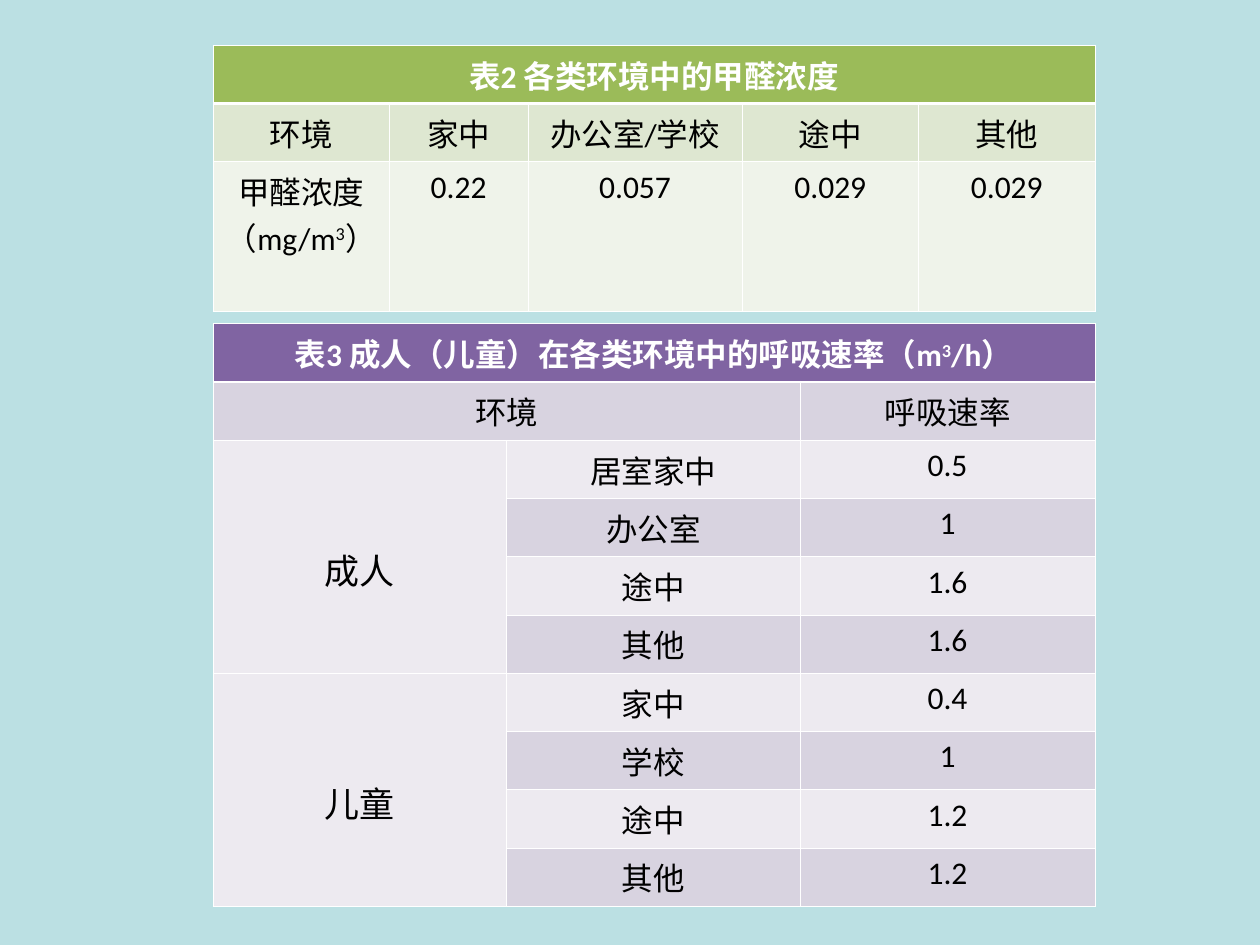
from lxml import etree
from pptx import Presentation
from pptx.dml.color import RGBColor
from pptx.enum.text import MSO_ANCHOR, PP_ALIGN
from pptx.oxml.ns import qn
from pptx.util import Inches, Pt

CENTER = PP_ALIGN.CENTER
MIDDLE = MSO_ANCHOR.MIDDLE
THIN, THICK = Pt(0.45), Pt(1.47)


def color(text):
    return RGBColor.from_string(text)


def border(cell, side, width):
    line = etree.SubElement(cell._tc.get_or_add_tcPr(), qn("a:ln" + side), w=str(width))
    fill = etree.SubElement(line, qn("a:solidFill"))
    etree.SubElement(fill, qn("a:srgbClr"), val="FFFFFF")


deck = Presentation()
deck.slide_width, deck.slide_height = Inches(10), Inches(7.5)
slide = deck.slides.add_slide(deck.slide_layouts[6])
slide.background.fill.solid()
slide.background.fill.fore_color.rgb = color("BBE0E3")

# Table data: ^ marks superscript, spans are (top, left, bottom, right),
# bands are the fills of even and odd body rows
tables = [
    {
        "top": 0.36,
        "cols": [1.4, 1.1, 1.7, 1.4, 1.4],
        "heights": [0.4, 0.4, 1],
        "head": "9BBB59",
        "bands": ["EFF3EA", "DEE7D1"],
        "spans": [(0, 0, 0, 4)],
        "rows": [
            ["表2 各类环境中的甲醛浓度", "", "", "", ""],
            ["环境", "家中", "办公室/学校", "途中", "其他"],
            ["甲醛浓度（mg/m^3^）", "0.22", "0.057", "0.029", "0.029"],
        ],
    },
    {
        "top": 2.57,
        "cols": [2.33, 2.33, 2.34],
        "heights": [0.4, 0.43] + [0.4] * 8,
        "head": "8064A2",
        "bands": ["EDEAF0", "D8D3E0"],
        "spans": [(0, 0, 0, 2), (1, 0, 1, 1), (2, 0, 5, 0), (6, 0, 9, 0)],
        "rows": [
            ["表3 成人（儿童）在各类环境中的呼吸速率（m^3^/h）", "", ""],
            ["环境", "", "呼吸速率"],
            ["成人", "居室家中", "0.5"],
            ["", "办公室", "1"],
            ["", "途中", "1.6"],
            ["", "其他", "1.6"],
            ["儿童", "家中", "0.4"],
            ["", "学校", "1"],
            ["", "途中", "1.2"],
            ["", "其他", "1.2"],
        ],
    },
]

for data in tables:
    rows, cols, heights = data["rows"], data["cols"], data["heights"]
    frame = slide.shapes.add_table(
        len(rows), len(cols), Inches(1.69), Inches(data["top"]),
        Inches(sum(cols)), Inches(sum(heights)))
    table = frame.table
    table.horz_banding = False
    for col, width in zip(table.columns, cols):
        col.width = Inches(width)
    for row, height in zip(table.rows, heights):
        row.height = Inches(height)

    # Cell borders, fills and text
    for r, texts in enumerate(rows):
        for c, text in enumerate(texts):
            cell = table.cell(r, c)
            for side in "LRTB":
                rule = (r, side) in [(0, "B"), (1, "T")]
                border(cell, side, THICK if rule else THIN)
            cell.fill.solid()
            cell.fill.fore_color.rgb = color(data["head"] if r == 0 else data["bands"][r % 2])
            if not text:
                continue
            para = cell.text_frame.paragraphs[0]
            para.alignment = CENTER
            style = {"name": "Calibri", "bold": r == 0,
                     "size": Pt(20 if text in ("成人", "儿童") else 18)}
            for i, part in enumerate(text.split("^")):
                run = para.add_run()
                run.text = part
                for key, value in style.items():
                    setattr(run.font, key, value)
                run.font.color.rgb = color("FFFFFF" if r == 0 else "000000")
                if i % 2:
                    run.font._element.set("baseline", "30000")

    # Merged cells; the tall ones hold their label just below the middle
    for top, left, bottom, right in data["spans"]:
        cell = table.cell(top, left)
        cell.merge(table.cell(bottom, right))
        if bottom > top:
            cell.vertical_anchor = MIDDLE
            cell.margin_top = Inches(0.24)

deck.save("out.pptx")
